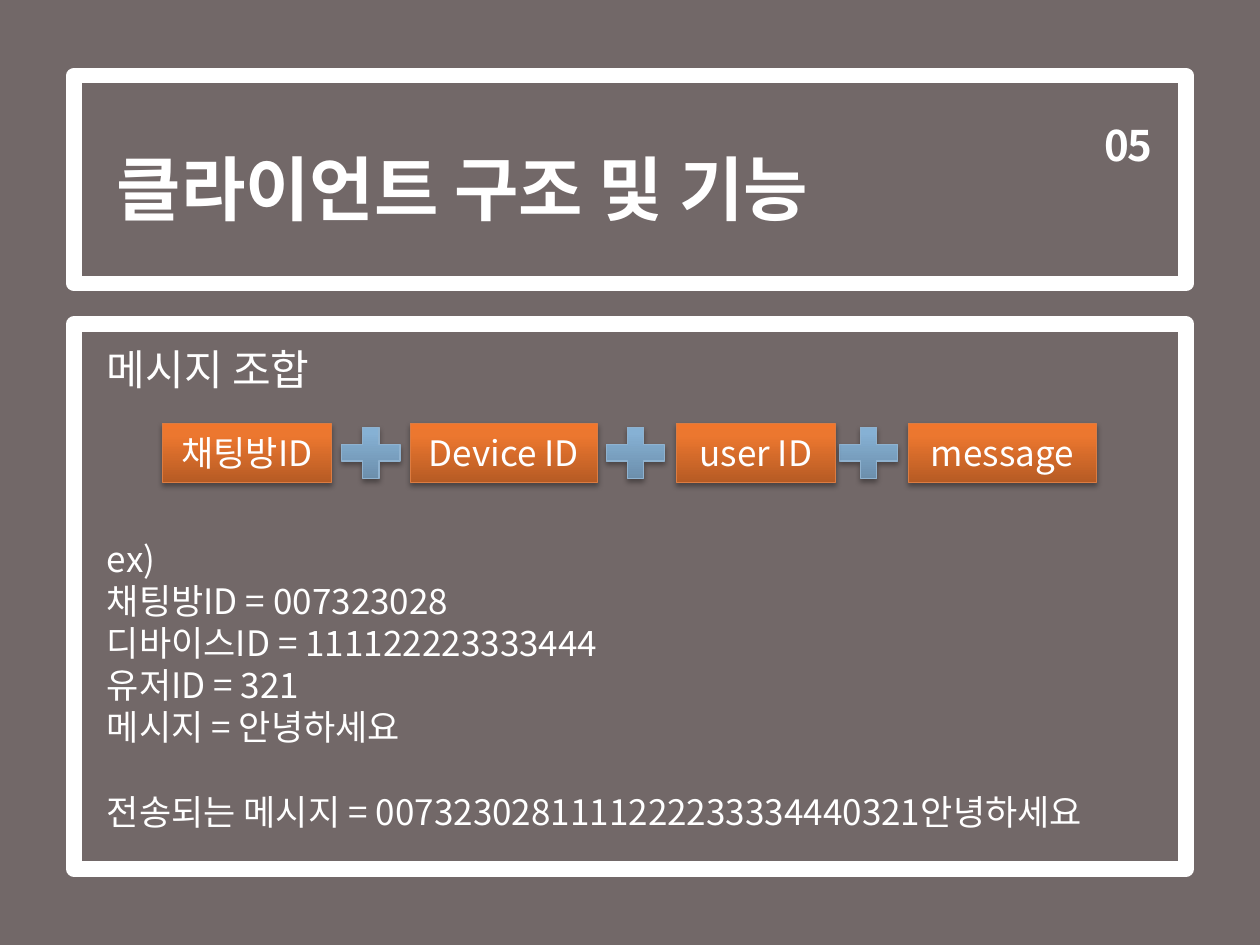
import pptx
import pptx.util
import pptx.oxml
import pptx.dml.color
import pptx.enum.shapes
import pptx.enum.text
from pptx.util import Inches

THEME = {
    "font": "Noto Sans CJK KR", "white": "FFFFFF", "back": "726868",
    "orange": (("B65B24", 0), ("EC772F", 80), ("F1762C", 100)), "orange_line": "DC7C42",
    "blue": (("6788A4", 0), ("86B1D4", 80), ("86B2D7", 100)), "blue_line": "8FB2CF",
    "title": 40, "heading": 24, "body": 20,
}
RGB = pptx.dml.color.RGBColor.from_string
SHAPE = pptx.enum.shapes.MSO_SHAPE
ALIGN = pptx.enum.text.PP_ALIGN
ANCHOR = pptx.enum.text.MSO_ANCHOR
NS = 'xmlns:a="http://schemas.openxmlformats.org/drawingml/2006/main"'


def write(sp, lines, size, bold=False, align=ALIGN.LEFT, anchor=ANCHOR.TOP):
    tf = sp.text_frame
    tf.word_wrap = True
    tf.vertical_anchor = anchor
    for i, line in enumerate(lines):
        p = tf.paragraphs[0] if i == 0 else tf.add_paragraph()
        p.alignment = align
        r = p.add_run()
        r.text = line
        r.font.size = pptx.util.Pt(size)
        r.font.bold = bold
        r.font.name = THEME["font"]
        r.font.color.rgb = RGB(THEME["white"])
        ea = pptx.oxml.parse_xml(f'<a:ea {NS} typeface="{THEME["font"]}"/>')
        r._r.rPr.find(pptx.oxml.ns.qn("a:latin")).addnext(ea)
    return tf


def add_glossy(kind, x, y, w, h, color):
    sp = s.shapes.add_shape(kind, Inches(x), Inches(y), Inches(w), Inches(h))
    sp.line.color.rgb = RGB(THEME[color + "_line"])
    sp.line.width = pptx.util.Pt(0.75)
    stops = "".join(f'<a:gs pos="{pos * 1000}"><a:srgbClr val="{c}"/></a:gs>'
                    for c, pos in THEME[color])
    sp._element.spPr.find(pptx.oxml.ns.qn("a:ln")).addprevious(pptx.oxml.parse_xml(
        f'<a:gradFill {NS} rotWithShape="1"><a:gsLst>{stops}</a:gsLst>'
        '<a:lin ang="16200000" scaled="0"/></a:gradFill>'))
    sp._element.spPr.append(pptx.oxml.parse_xml(
        f'<a:effectLst {NS}><a:outerShdw blurRad="{pptx.util.Pt(3.1)}" '
        f'dist="{pptx.util.Pt(1.8)}" dir="5400000" rotWithShape="0">'
        '<a:srgbClr val="000000"><a:alpha val="35000"/></a:srgbClr>'
        '</a:outerShdw></a:effectLst>'))
    return sp


prs = pptx.Presentation()
prs.slide_width, prs.slide_height = Inches(10), Inches(7.5)
s = prs.slides.add_slide(prs.slide_layouts[6])

# Backdrop
backdrop = s.shapes.add_shape(SHAPE.RECTANGLE, 0, 0, prs.slide_width, prs.slide_height)
backdrop.shadow.inherit = False
backdrop.fill.solid()
backdrop.fill.fore_color.rgb = RGB(THEME["back"])
backdrop.line.fill.background()

# White frames
for y, h in ((0.6, 1.65), (2.57, 4.33)):
    frame = s.shapes.add_shape(SHAPE.RECTANGLE, Inches(0.59), Inches(y), Inches(8.82), Inches(h))
    frame.shadow.inherit = False
    frame.fill.background()
    frame.line.color.rgb = RGB(THEME["white"])
    frame.line.width = pptx.util.Pt(9)

# Title and page number
title = s.shapes.add_textbox(Inches(0.83), Inches(0.68), Inches(7.56), Inches(1.61))
write(title, ["클라이언트 구조 및 기능"], THEME["title"], bold=True, anchor=ANCHOR.MIDDLE)
number = s.shapes.add_textbox(Inches(7.44), Inches(0.52), Inches(1.8), Inches(1.18))
p = write(number, ["05"], THEME["heading"], bold=True, align=ALIGN.RIGHT).paragraphs[0]
p.line_spacing = pptx.util.Pt(56)
p.runs[0]._r.rPr.set("spc", "-150")

# Heading
heading = s.shapes.add_textbox(Inches(0.75), Inches(2.68), Inches(8.49), Inches(0.5))
write(heading, ["메시지 조합"], THEME["heading"])

# Message parts joined by plus signs
for x in (2.63, 4.73, 6.58):
    add_glossy(SHAPE.MATH_PLUS, x, 3.32, 0.63, 0.55, "blue")
for label, x, w in (("채팅방ID", 1.29, 1.34), ("Device ID", 3.26, 1.48),
                    ("user ID", 5.37, 1.26), ("message", 7.21, 1.49)):
    part = add_glossy(SHAPE.RECTANGLE, x, 3.36, w, 0.47, "orange")
    write(part, [label], THEME["body"], align=ALIGN.CENTER, anchor=ANCHOR.MIDDLE)

# Worked example
example = s.shapes.add_textbox(Inches(0.75), Inches(4.22), Inches(8.49), Inches(2.46))
tf = write(example, ["ex)", "채팅방ID = 007323028", "디바이스ID = 111122223333444",
                     "유저ID = 321", "메시지 = 안녕하세요",
                     "전송되는 메시지 = 0073230281111222233334440321안녕하세요"], THEME["body"])
tf.paragraphs[-1].space_before = pptx.util.Pt(24)

prs.save("out.pptx")
